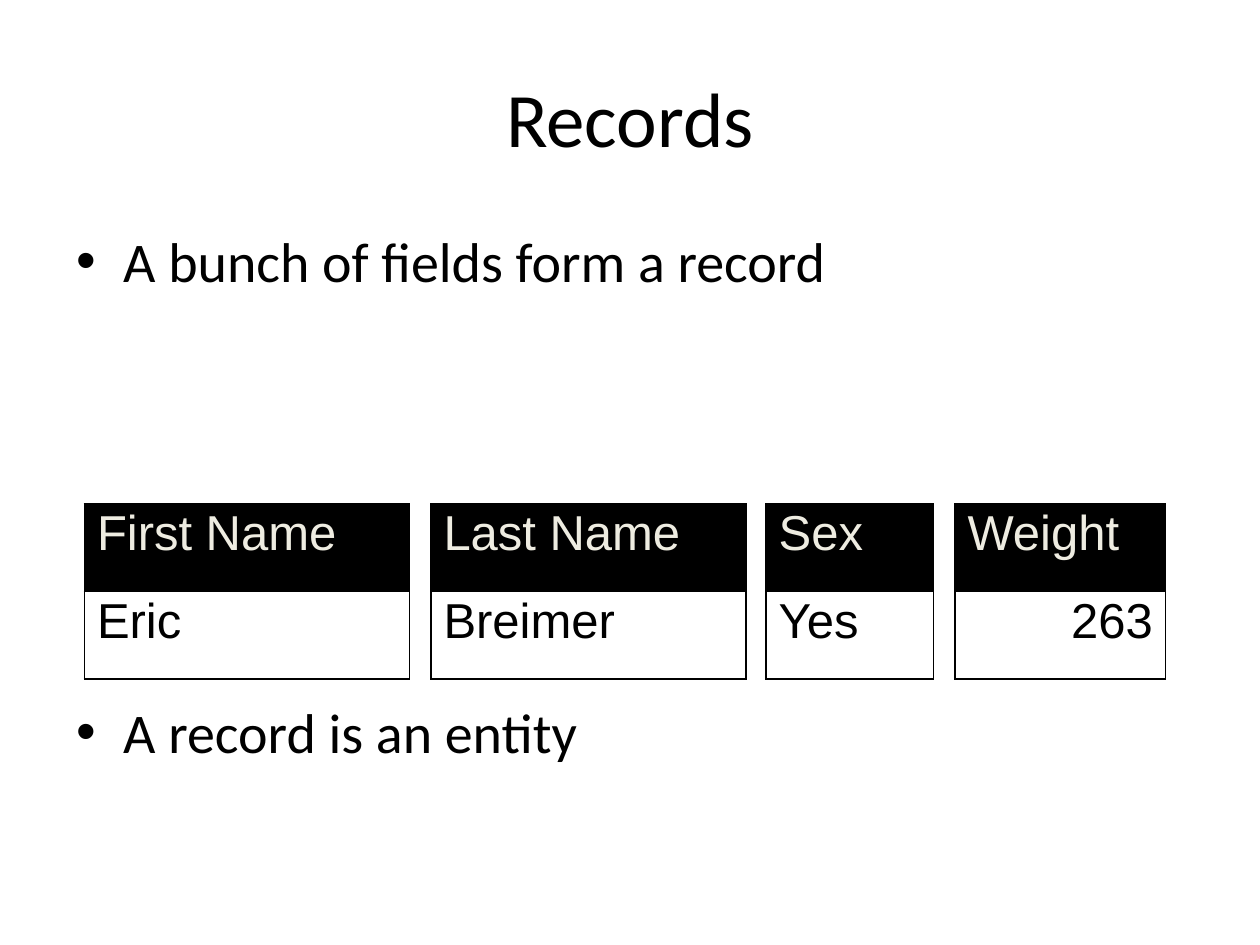
from pptx import Presentation
from pptx.dml.color import RGBColor
from pptx.enum.text import MSO_ANCHOR, PP_ALIGN
from pptx.oxml import parse_xml
from pptx.oxml.ns import nsdecls
from pptx.util import Inches, Pt

BLACK = RGBColor(0x00, 0x00, 0x00)
WHITE = RGBColor(0xFF, 0xFF, 0xFF)
CREAM = RGBColor(0xEE, 0xEC, 0xE1)

FIELDS = [
    ("First Name", "Eric", 0.67, 2.58, PP_ALIGN.LEFT),
    ("Last Name", "Breimer", 3.42, 2.5, PP_ALIGN.LEFT),
    ("Sex", "Yes", 6.08, 1.33, PP_ALIGN.LEFT),
    ("Weight", "263", 7.58, 1.67, PP_ALIGN.RIGHT),
]


def style_font(font, size, name, color):
    for key, value in {"size": Pt(size), "name": name}.items():
        setattr(font, key, value)
    font.color.rgb = color


def add_text(s, x, y, w, h):
    tf = s.shapes.add_textbox(Inches(x), Inches(y), Inches(w), Inches(h)).text_frame
    tf.word_wrap = True
    return tf


def add_title(s, text, x, y, w, h):
    tf = add_text(s, x, y, w, h)
    tf.vertical_anchor = MSO_ANCHOR.MIDDLE
    p = tf.paragraphs[0]
    p.text = text
    p.alignment = PP_ALIGN.CENTER
    style_font(p.runs[0].font, 44, "Calibri", BLACK)


def add_bullets(s, lines, gap, x, y, w, h):
    tf = add_text(s, x, y, w, h)
    for i, line in enumerate(lines):
        p = tf.add_paragraph() if i else tf.paragraphs[0]
        pPr = p._p.get_or_add_pPr()
        pPr.set("marL", str(Inches(0.38)))
        pPr.set("indent", str(Inches(-0.37)))
        pPr.append(parse_xml(f'<a:buFont {nsdecls("a")} typeface="Arial"/>'))
        pPr.append(parse_xml(f'<a:buChar {nsdecls("a")} char="•"/>'))
        if i:
            p.space_before = Pt(gap)
        r = p.add_run()
        r.text = line
        style_font(r.font, 32, "Calibri", BLACK)


def add_borders(cell, widths):
    tcPr = cell._tc.get_or_add_tcPr()
    for side, width in widths.items():
        tcPr.append(parse_xml(
            f'<a:ln{side} {nsdecls("a")} w="{Pt(width)}"><a:solidFill>'
            f'<a:srgbClr val="{BLACK}"/></a:solidFill></a:ln{side}>'))


def add_field(s, name, value, align, x, y, w, h):
    table = s.shapes.add_table(2, 1, Inches(x), Inches(y), Inches(w), Inches(h)).table
    rows = [
        (name, PP_ALIGN.LEFT, CREAM, BLACK, 1.08, 0.45),
        (value, align, BLACK, WHITE, 0.45, 1.08),
    ]
    for i, (text, al, color, fill, top, bottom) in enumerate(rows):
        cell = table.cell(i, 0)
        add_borders(cell, {"L": 1.08, "R": 1.08, "T": top, "B": bottom})
        cell.fill.solid()
        cell.fill.fore_color.rgb = fill
        cell.text = text
        p = cell.text_frame.paragraphs[0]
        p.alignment = al
        p.line_spacing = 0.93
        style_font(p.runs[0].font, 28, "Arial", color)


def main():
    prs = Presentation()
    prs.slide_width, prs.slide_height = Inches(10), Inches(7.5)
    s = prs.slides.add_slide(prs.slide_layouts[6])
    add_title(s, "Records", 0.5, 0.3, 9, 1.25)
    add_bullets(s, ["A bunch of fields form a record", "A record is an entity"],
                230.6, 0.5, 1.75, 9, 4.95)
    for name, value, x, w, align in FIELDS:
        add_field(s, name, value, align, x, 4, w, 1.39)
    prs.save("out.pptx")


if __name__ == "__main__":
    main()
